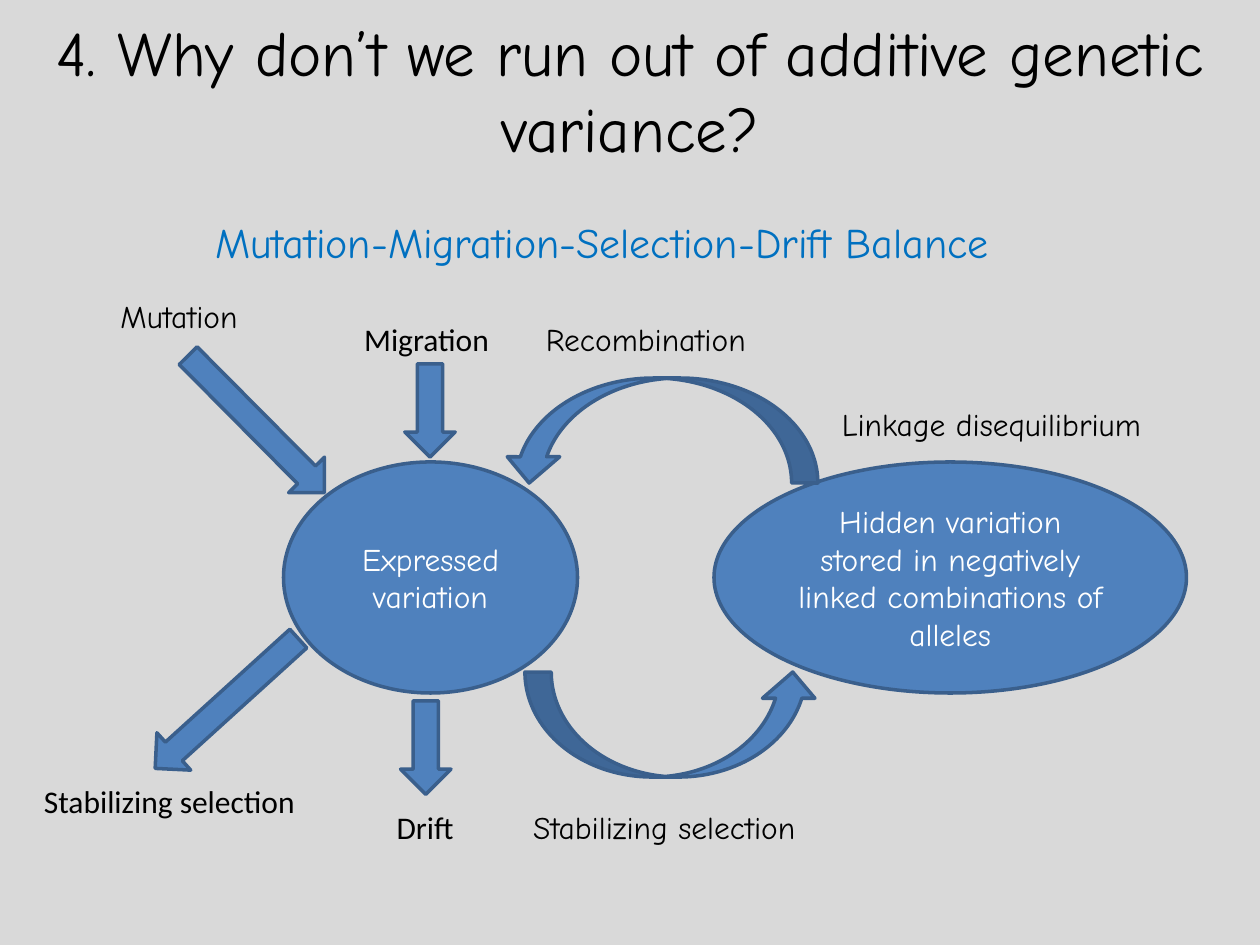
from dataclasses import dataclass
from pptx import Presentation
from pptx.dml.color import RGBColor as RGB
from pptx.enum.shapes import MSO_SHAPE as Kind
from pptx.enum.text import MSO_ANCHOR as Anchor, MSO_AUTO_SIZE as Fit, PP_ALIGN as Align
from pptx.oxml.ns import qn
from pptx.util import Inches, Pt


@dataclass(frozen=True)
class Theme:
    back: RGB = RGB.from_string("D9D9D9")
    fill: RGB = RGB.from_string("4F81BD")
    edge: RGB = RGB.from_string("3A5F8C")
    dark: RGB = RGB.from_string("000000")
    light: RGB = RGB.from_string("FFFFFF")
    accent: RGB = RGB.from_string("0070C0")
    comic: str = "Comic Neue"
    plain: str = "Calibri"
    title: int = 36
    head: int = 24
    body: int = 18


look = Theme()
deck = Presentation()
deck.slide_width, deck.slide_height = Inches(10), Inches(7.5)
slide = deck.slides.add_slide(deck.slide_layouts[5])
slide.background.fill.solid()
slide.background.fill.fore_color.rgb = look.back

# Grid of 120 columns by 90 rows
cell = deck.slide_width / 120


def grid(*cells):
    return [round(n * cell) for n in cells]


def write(shape, text, size=look.body, font=look.comic, color=look.dark,
          align=Align.CENTER, anchor=Anchor.MIDDLE, wrap=True, fit=Fit.NONE):
    frame = shape.text_frame
    frame.word_wrap, frame.auto_size = wrap, fit
    frame.vertical_anchor = anchor
    par = frame.paragraphs[0]
    par.alignment = align
    run = par.add_run()
    run.text = text
    run.font.size, run.font.name = Pt(size), font
    run.font.color.rgb = color


# Title
title = slide.shapes.title
title.left, title.top, title.width, title.height = grid(0, 1, 120, 15)
write(title, "4. Why don’t we run out of additive genetic variance?", size=look.title)

# Pools of variation, then the flows between and around them
hidden = "Hidden variation stored in negatively linked combinations of alleles"
parts = [
    # kind, left, top, width, height, turn, flip, text
    (Kind.OVAL, 27, 44, 28, 22, 0, False, "Expressed variation"),
    (Kind.OVAL, 68, 44, 45, 22, 0, False, hidden),
    (Kind.CURVED_UP_ARROW, 50, 64, 28, 10, 0, False, ""),
    (Kind.CURVED_DOWN_ARROW, 47.9, 36, 30, 10, 0, True, ""),
    (Kind.RIGHT_ARROW, 15.2, 38, 18.4, 4.8, 45.2, False, ""),
    (Kind.RIGHT_ARROW, 12.4, 64.6, 18.4, 4.8, 317.8, True, ""),
    (Kind.RIGHT_ARROW, 36.5, 36.7, 8.9, 4.8, 90, False, ""),
    (Kind.RIGHT_ARROW, 36.1, 68.8, 8.9, 4.8, 90, False, ""),
]
for kind, left, top, wide, high, turn, flip, text in parts:
    part = slide.shapes.add_shape(kind, *grid(left, top, wide, high))
    part.shadow.inherit = False
    part.fill.solid()
    part.fill.fore_color.rgb = look.fill
    part.line.color.rgb = look.edge
    part.line.width = Pt(2)
    part.rotation = turn
    if flip:
        part.element.spPr.find(qn("a:xfrm")).set("flipH", "1")
    if text:
        write(part, text, color=look.light)

# Heading and labels
head = dict(size=look.head, color=look.accent)
plain = dict(font=look.plain)
labels = [
    # left, top, width, height, text, format
    (19.3, 20, 85.6, 6, "Mutation-Migration-Selection-Drift Balance", head),
    (50.8, 29.9, 22.7, 4.8, "Recombination", {}),
    (49.6, 76.4, 31, 4.8, "Stabilizing selection", {}),
    (10.3, 27.7, 15.1, 4.8, "Mutation", {}),
    (3, 73.9, 26.6, 4.8, "Stabilizing selection", plain),
    (79, 38, 33.4, 4.8, "Linkage disequilibrium", {}),
    (33.5, 29.9, 14.4, 4.8, "Migration", plain),
    (36.6, 76.4, 7.9, 4.8, "Drift", plain),
]
for left, top, wide, high, text, style in labels:
    box = slide.shapes.add_textbox(*grid(left, top, wide, high))
    write(box, text, align=Align.LEFT, anchor=Anchor.TOP, wrap=False,
          fit=Fit.SHAPE_TO_FIT_TEXT, **style)

deck.save("out.pptx")
